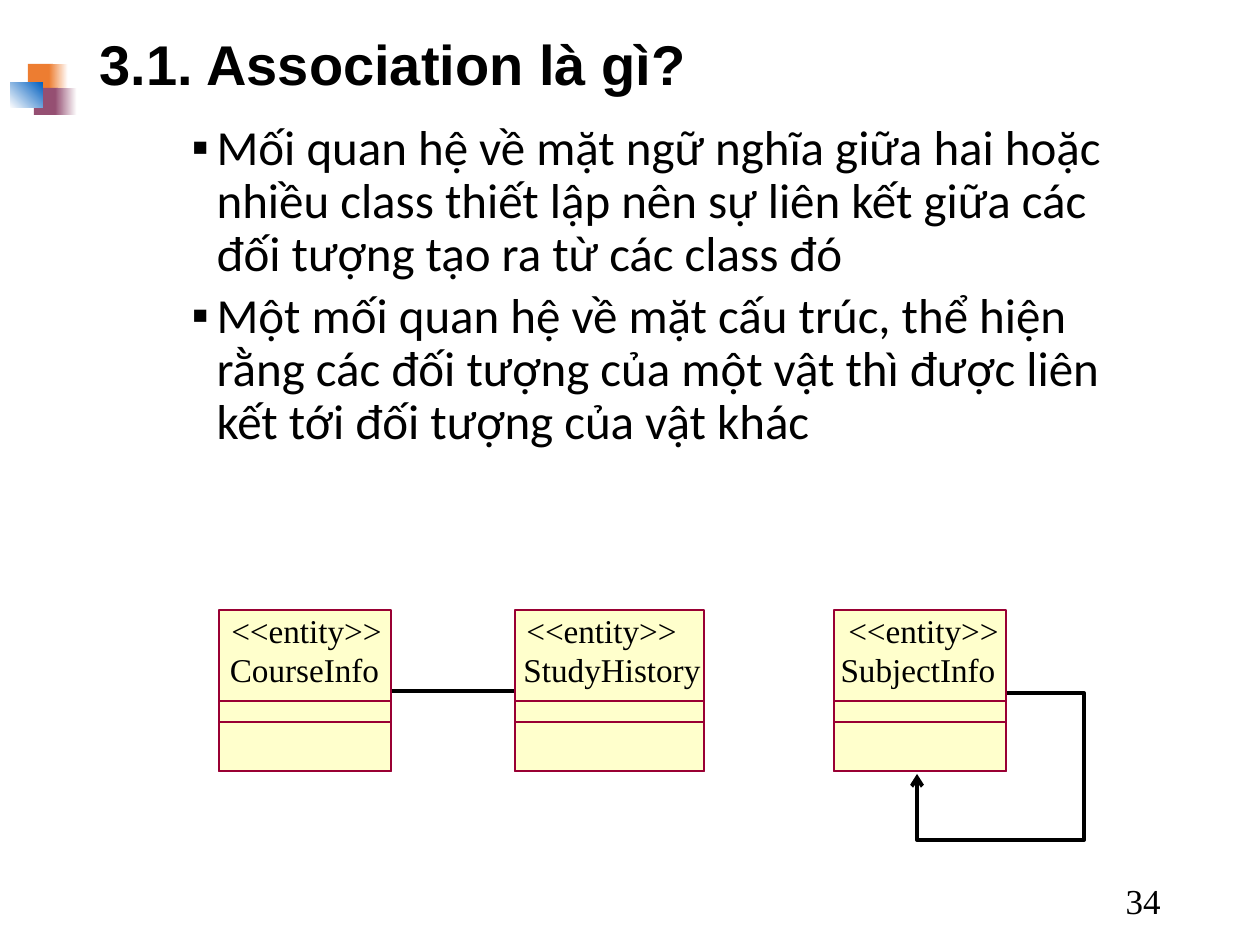
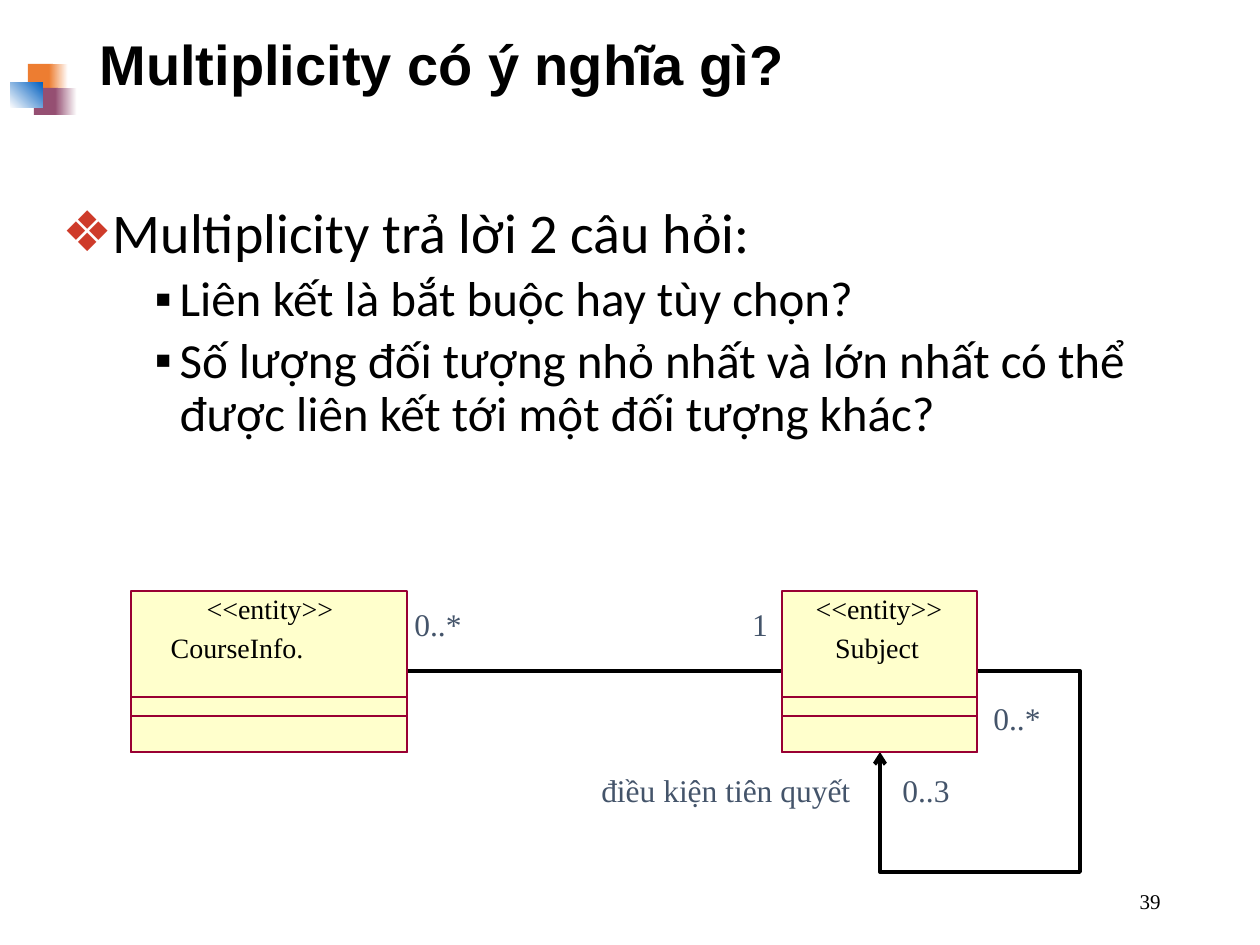
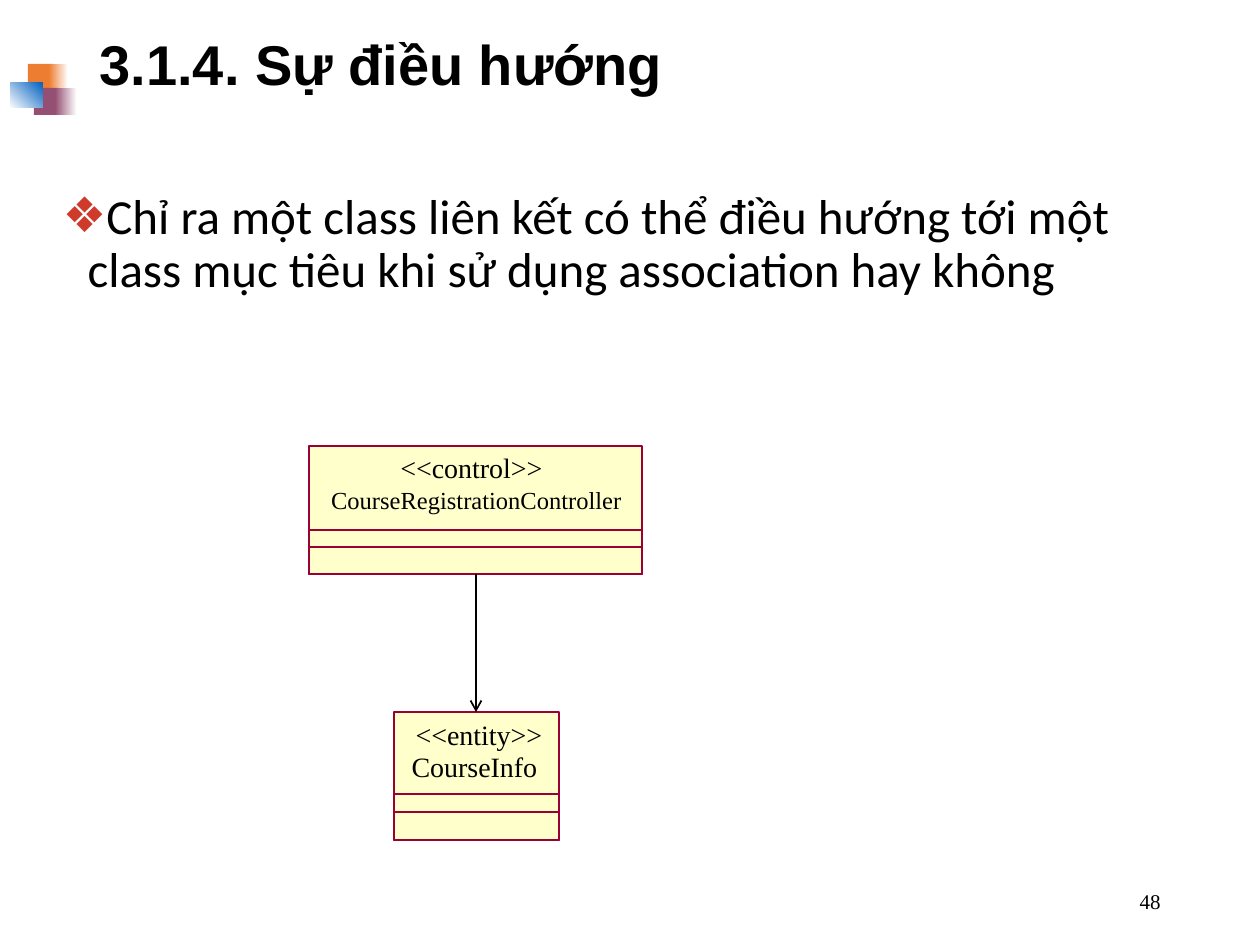
from lxml import etree
from pptx import Presentation
from pptx import util as u
from pptx.dml.color import RGBColor
from pptx.enum import shapes, text
from pptx.oxml.ns import qn

PX_PER_INCH = 126

BLACK = RGBColor(0x00, 0x00, 0x00)
WHITE = RGBColor(0xFF, 0xFF, 0xFF)
ORANGE = RGBColor(0xED, 0x7D, 0x31)
PLUM = RGBColor(0x95, 0x4F, 0x72)
BLUE = RGBColor(0x05, 0x63, 0xC1)
RED = RGBColor(0xCE, 0x3B, 0x2A)
CREAM = RGBColor(0xFF, 0xFF, 0xCC)
MAROON = RGBColor(0x99, 0x00, 0x33)
SLATE = RGBColor(0x44, 0x54, 0x6A)

TITLE_FONT, BODY_FONT, LABEL_FONT = "Arial", "Calibri", "Times New Roman"
TITLE_BOX = (87, 16, 1086, 102)
NUMBER_BOX = (890, 876, 283, 50)

# Per list level: bullet, bullet colour, left margin (px), space before (pt)
LEVELS = (("❖", RED, 25, 10), ("▪", BLACK, 117, 5))
HANGING = 25

# Corner mark: box, colour at the start, colour at the end, angle
CORNER_MARK = (
    ((28, 64, 25, 27), ORANGE, None, 0),
    ((49, 64, 19, 27), ORANGE, WHITE, 0),
    ((34, 88, 24, 27), PLUM, None, 0),
    ((55, 88, 22, 27), PLUM, WHITE, 0),
    ((10, 83, 33, 25), WHITE, BLUE, 45),
)


def px(length):
    return u.Emu(round(length * 914400 / PX_PER_INCH))


def emu(box):
    return [px(length) for length in box]


def place(shape, box):
    shape.left, shape.top, shape.width, shape.height = emu(box)


def add_span(para, words, font, size, color=BLACK, bold=False):
    span = para.add_run()
    span.text = words
    span.font.name = font
    span.font.size = u.Pt(size)
    span.font.bold = bold
    span.font.color.rgb = color


def add_rect(page, box):
    rect = page.shapes.add_shape(shapes.MSO_SHAPE.RECTANGLE, *emu(box))
    rect.shadow.inherit = False
    return rect


def add_label(page, words, box, size, color=BLACK):
    label = page.shapes.add_textbox(*emu(box))
    frame = label.text_frame
    frame.margin_left = frame.margin_right = 0
    frame.margin_top = frame.margin_bottom = 0
    frame.word_wrap = False
    para = frame.paragraphs[0]
    para.alignment = text.PP_ALIGN.CENTER
    add_span(para, words, LABEL_FONT, size, color)


# Lines
def style_line(shape, width, arrow):
    shape.line.color.rgb = BLACK
    shape.line.width = u.Pt(width)
    if arrow:
        outline = shape.element.spPr.find(qn("a:ln"))
        etree.SubElement(outline, qn("a:tailEnd"), type="arrow")


def add_line(page, start, end, width=2.25, arrow=False):
    line = page.shapes.add_connector(
        shapes.MSO_CONNECTOR.STRAIGHT, *emu(start), *emu(end))
    style_line(line, width, arrow)
    etree.SubElement(line.element.spPr, qn("a:effectLst"))


def add_bent_line(page, points, arrow=False):
    start, *rest = [tuple(emu(point)) for point in points]
    builder = page.shapes.build_freeform(*start, scale=1.0)
    builder.add_line_segments(rest, close=False)
    bent = builder.convert_to_shape()
    bent.shadow.inherit = False
    bent.fill.background()
    style_line(bent, 2.25, arrow)


# Shared parts of every slide
def add_corner_mark(page):
    for box, start, end, angle in CORNER_MARK:
        tile = add_rect(page, box)
        tile.line.fill.background()
        if end is None:
            tile.fill.solid()
            tile.fill.fore_color.rgb = start
            continue
        tile.fill.gradient()
        tile.fill.gradient_angle = angle
        for stop, position, color in zip(tile.fill.gradient_stops, (0, 1), (start, end)):
            stop.position = position
            stop.color.rgb = color


def add_page(deck, title, number, number_size=12):
    page = deck.slides.add_slide(deck.slide_layouts[1])
    add_corner_mark(page)

    heading = page.shapes.title
    place(heading, TITLE_BOX)
    heading.text_frame.vertical_anchor = text.MSO_ANCHOR.MIDDLE
    heading.text_frame.auto_size = text.MSO_AUTO_SIZE.NONE
    para = heading.text_frame.paragraphs[0]
    para.alignment = text.PP_ALIGN.LEFT
    para.line_spacing = 0.9
    add_span(para, title, TITLE_FONT, 32, bold=True)

    footer = page.shapes.add_textbox(*emu(NUMBER_BOX))
    footer.text_frame.word_wrap = True
    footer.text_frame.vertical_anchor = text.MSO_ANCHOR.MIDDLE
    para = footer.text_frame.paragraphs[0]
    para.alignment = text.PP_ALIGN.RIGHT
    add_span(para, number, LABEL_FONT, number_size)
    return page


def set_bullet(para, level):
    bullet, color, margin, _ = LEVELS[level]
    props = para._p.get_or_add_pPr()
    props.set("marL", str(px(margin)))
    props.set("indent", str(px(-HANGING)))
    bullet_color = etree.SubElement(props, qn("a:buClr"))
    etree.SubElement(bullet_color, qn("a:srgbClr"), val=str(color))
    etree.SubElement(props, qn("a:buFont"), typeface="Arial")
    etree.SubElement(props, qn("a:buChar"), char=bullet)


def fill_body(page, box, items):
    """Items are (level, size, words)."""
    body = page.placeholders[1]
    place(body, box)
    frame = body.text_frame
    frame.auto_size = text.MSO_AUTO_SIZE.NONE
    for index, (level, size, words) in enumerate(items):
        para = frame.add_paragraph() if index else frame.paragraphs[0]
        para.level = level
        set_bullet(para, level)
        para.line_spacing = 0.9
        para.space_before = u.Pt(LEVELS[level][3] if index else 0)
        add_span(para, words, BODY_FONT, size)


# Class symbol: a filled box with two compartments under its labels
def add_class(page, box, dividers, labels, border=0):
    """Labels are (words, size, box relative to the class)."""
    left, top, width, height = box
    for offset in (0, *dividers):
        part = add_rect(page, (left, top + offset, width, height - offset))
        part.line.color.rgb = MAROON
        part.line.width = u.Pt(border)
        if offset:
            part.fill.background()
        else:
            part.fill.solid()
            part.fill.fore_color.rgb = CREAM
    for words, size, (x, y, label_width, label_height) in labels:
        add_label(page, words, (left + x, top + y, label_width, label_height), size)


def association_slide(deck):
    page = add_page(deck, "3.1. Association là gì?", "34", number_size=20)
    fill_body(page, (87, 117, 1086, 713), (
        (1, 28, "Mối quan hệ về mặt ngữ nghĩa giữa hai hoặc nhiều class thiết lập "
                "nên sự liên kết giữa các đối tượng tạo ra từ các class đó"),
        (1, 28, "Một mối quan hệ về mặt cấu trúc, thể hiện rằng các đối tượng của "
                "một vật thì được liên kết tới đối tượng của vật khác"),
    ))
    add_bent_line(page, ((1000, 693), (1084, 693), (1084, 840), (917, 840), (917, 774)),
                  arrow=True)
    add_line(page, (338, 691), (544, 691))
    # Name, left, width, name offset and width, stereotype offset
    for name, left, width, name_x, name_width, kind_x in (
            ("SubjectInfo", 834, 172, 6, 156, 11),
            ("CourseInfo", 219, 172, 1, 169, 9),
            ("StudyHistory", 515, 189, -2, 198, 8)):
        add_class(page, (left, 610, width, 161), (91, 112), (
            (name, 19, (name_x, 39, name_width, 40)),
            ("<<entity>>", 19, (kind_x, 0, 157, 40)),
        ))


def multiplicity_slide(deck):
    page = add_page(deck, "Multiplicity có ý nghĩa gì?", "39")
    fill_body(page, (50, 199, 1169, 368), (
        (0, 32, "Multiplicity trả lời 2 câu hỏi:"),
        (1, 28, "Liên kết là bắt buộc hay tùy chọn?"),
        (1, 28, "Số lượng đối tượng nhỏ nhất và lớn nhất có thể được liên kết tới "
                "một đối tượng khác?"),
    ))
    add_bent_line(page, ((1080, 819), (1080, 872), (880, 872), (880, 752)), arrow=True)
    add_bent_line(page, ((1080, 819), (1080, 671), (976, 671)))
    add_line(page, (808, 671), (396, 671))
    # Name, left, width, name offset and width, stereotype offset
    for name, left, width, name_x, name_width, kind_x in (
            ("Subject", 782, 195, 52, 86, 33),
            ("CourseInfo.", 131, 276, 39, 134, 75)):
        add_class(page, (left, 591, width, 161), (106, 125), (
            (name, 16, (name_x, 40, name_width, 34)),
            ("<<entity>>", 16, (kind_x, 1, 128, 34)),
        ))
    for words, left, top, width in (
            ("điều kiện tiên quyết", 600, 771, 252),
            ("0..3", 901, 771, 50),
            ("0..*", 993, 699, 48),
            ("0..*", 414, 605, 48),
            ("1", 751, 605, 18)):
        add_label(page, words, (left, top, width, 38), 18, SLATE)


def navigation_slide(deck):
    page = add_page(deck, "3.1.4. Sự điều hướng", "48")
    fill_body(page, (50, 186, 1169, 212), (
        (0, 28, "Chỉ ra một class liên kết có thể điều hướng tới một class mục tiêu "
                "khi sử dụng association hay không"),
    ))
    add_class(page, (309, 446, 333, 128), (84, 101), (
        ("CourseRegistrationController", 14, (10, 39, 315, 29)),
        ("<<control>>", 16, (91, 5, 143, 34)),
    ), border=1)
    add_class(page, (394, 712, 165, 128), (82, 100), (
        ("CourseInfo", 16, (12, 38, 137, 34)),
        ("<<entity>>", 16, (21, 6, 128, 34)),
    ), border=1)
    add_line(page, (476, 574), (476, 712), width=1, arrow=True)


def main():
    deck = Presentation()
    deck.slide_width, deck.slide_height = px(1260), px(945)
    association_slide(deck)
    multiplicity_slide(deck)
    navigation_slide(deck)
    deck.save("out.pptx")


if __name__ == "__main__":
    main()
